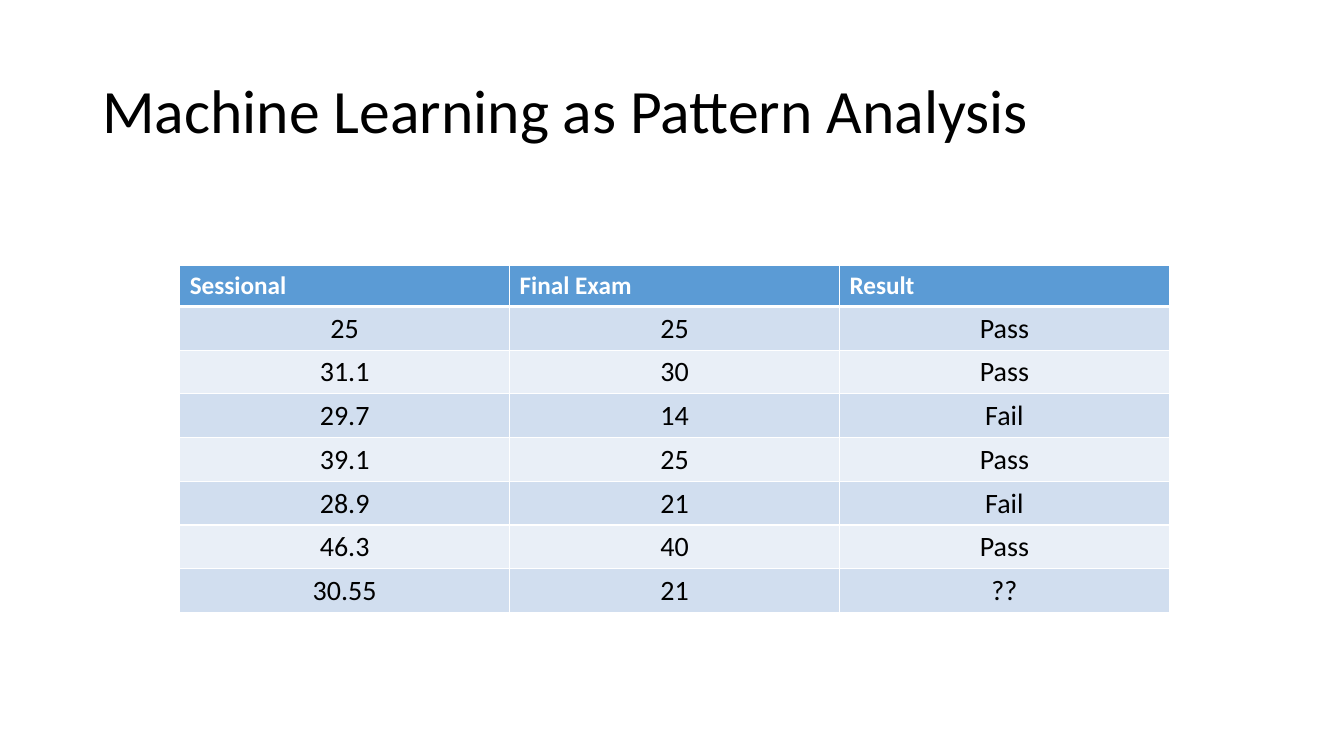
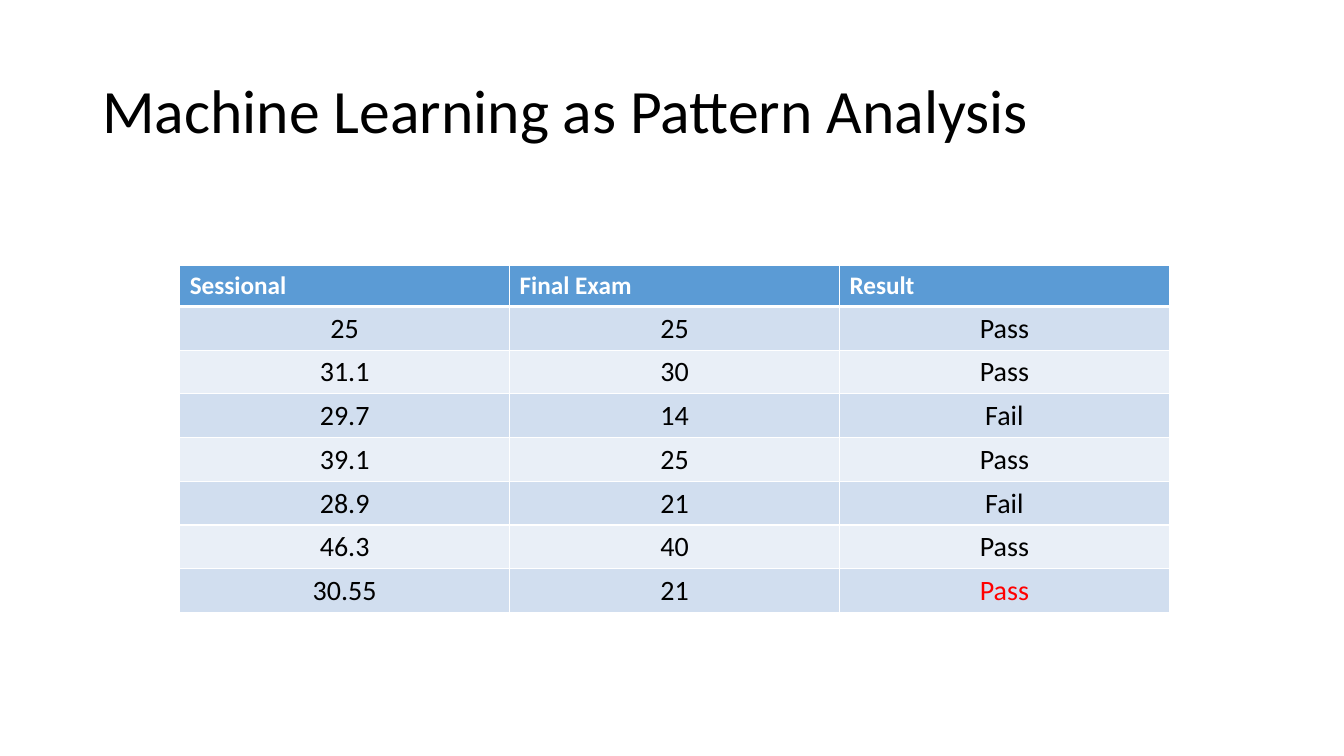
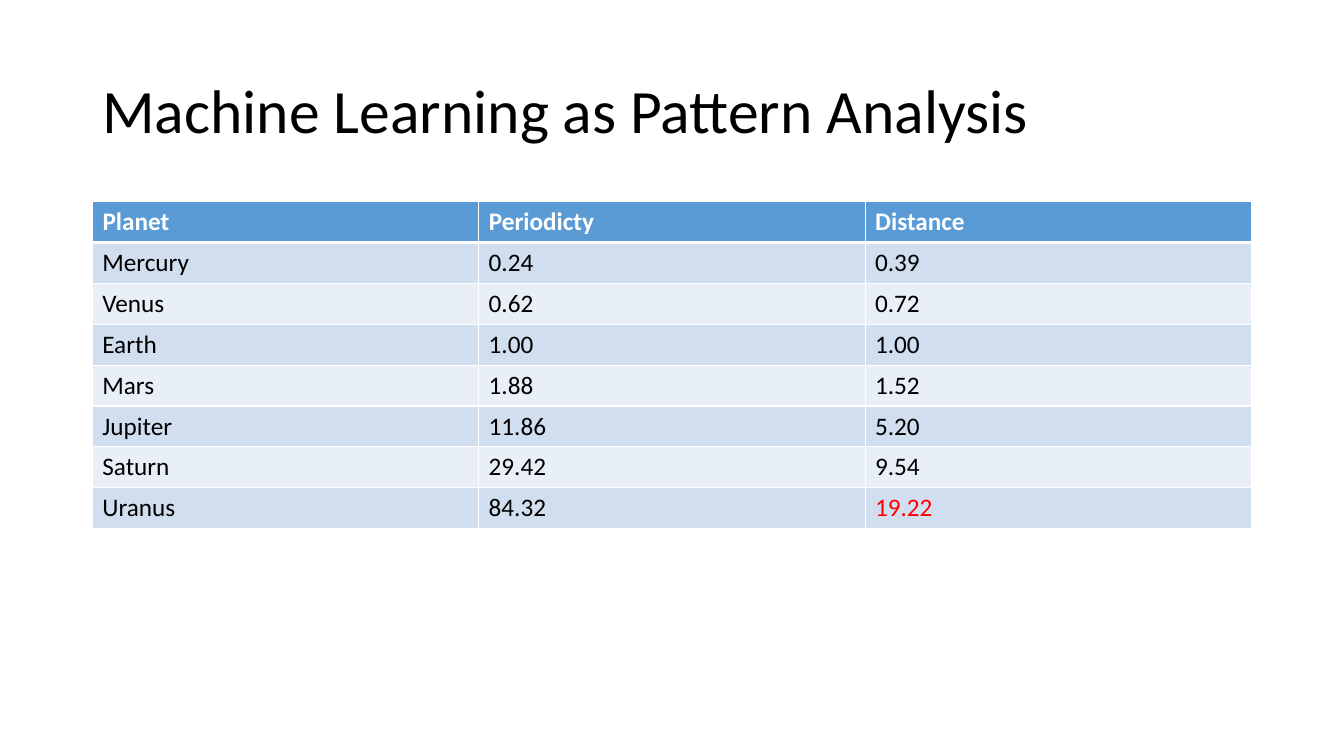
from lxml import etree
from pptx import Presentation
from pptx.dml.color import RGBColor
from pptx.enum import text
from pptx.oxml import ns
from pptx.util import Cm, Pt

BLACK = RGBColor(0x00, 0x00, 0x00)
WHITE = RGBColor(0xFF, 0xFF, 0xFF)
RED = RGBColor(0xFF, 0x00, 0x00)
HEADER_BLUE = RGBColor(0x5B, 0x9B, 0xD5)
BANDS = (RGBColor(0xD1, 0xDE, 0xEF), RGBColor(0xE9, 0xEF, 0xF7))
THIN, THICK = Pt(0.96), Pt(3)
ROW_HEIGHT = Cm(1.03)

TITLE = "Machine Learning as Pattern Analysis"
EXAM_HEADER = ("Sessional", "Final Exam", "Result")
EXAMS = [
    ("25", "25", "Pass"),
    ("31.1", "30", "Pass"),
    ("29.7", "14", "Fail"),
    ("39.1", "25", "Pass"),
    ("28.9", "21", "Fail"),
    ("46.3", "40", "Pass"),
]
PLANETS = [
    ("Planet", "Periodicty", "Distance"),
    ("Mercury", "0.24", "0.39"),
    ("Venus", "0.62", "0.72"),
    ("Earth", "1.00", "1.00"),
    ("Mars", "1.88", "1.52"),
    ("Jupiter", "11.86", "5.20"),
    ("Saturn", "29.42", "9.54"),
    ("Uranus", "84.32", "19.22"),
]

EXAM_LAYOUT = {"left": Cm(4.53), "top": Cm(6.69), "width": Cm(24.94),
               "size": Pt(20), "align": text.PP_ALIGN.CENTER, "side_margin": Cm(0.03)}
PLANET_LAYOUT = {"left": Cm(2.33), "top": Cm(5.08), "width": Cm(29.21),
                 "size": Pt(18), "align": text.PP_ALIGN.LEFT, "side_margin": Cm(0.25)}

# Rows, layout and the colour of the predicted value in the last cell
SLIDES = [
    ([EXAM_HEADER, *EXAMS, ("30.55", "21", "??")], EXAM_LAYOUT, BLACK),
    ([EXAM_HEADER, *EXAMS, ("30.55", "21", "Pass")], EXAM_LAYOUT, RED),
    (PLANETS, PLANET_LAYOUT, RED),
]


def set_font(font, size, color, bold=False):
    for name, value in {"name": "Calibri", "size": size, "bold": bold}.items():
        setattr(font, name, value)
    font.color.rgb = color


def add_title(slide):
    frame = slide.shapes.add_textbox(Cm(2.33), Cm(1.01), Cm(29.21), Cm(3.68)).text_frame
    frame.word_wrap = True
    frame.vertical_anchor = text.MSO_ANCHOR.MIDDLE
    heading = frame.paragraphs[0]
    heading.text = TITLE
    heading.line_spacing = 0.9
    set_font(heading.font, Pt(44), BLACK)


def set_borders(cell, row):
    """Draw white cell borders, with a thick rule between header and body."""
    widths = {"L": THIN, "R": THIN,
              "T": THICK if row == 1 else THIN,
              "B": THICK if row == 0 else THIN}
    properties = cell._tc.get_or_add_tcPr()
    for side, width in widths.items():
        line = etree.SubElement(properties, ns.qn(f"a:ln{side}"), w=str(int(width)))
        fill = etree.SubElement(line, ns.qn("a:solidFill"))
        etree.SubElement(fill, ns.qn("a:srgbClr"), val=str(WHITE))


def add_data_table(slide, rows, layout, prediction_color):
    columns = len(rows[0])
    table = slide.shapes.add_table(len(rows), columns, layout["left"], layout["top"],
                                   layout["width"], ROW_HEIGHT * len(rows)).table
    table.horz_banding = False
    for r, values in enumerate(rows):
        for c, value in enumerate(values):
            cell = table.cell(r, c)
            set_borders(cell, r)
            cell.fill.solid()
            cell.fill.fore_color.rgb = BANDS[(r - 1) % 2] if r else HEADER_BLUE
            cell.text = value
            entry = cell.text_frame.paragraphs[0]
            if r == 0:
                set_font(entry.font, Pt(18), WHITE, bold=True)
                continue
            is_prediction = r == len(rows) - 1 and c == columns - 1
            set_font(entry.font, layout["size"], prediction_color if is_prediction else BLACK)
            entry.alignment = layout["align"]
            cell.margin_left = cell.margin_right = layout["side_margin"]


def main():
    deck = Presentation()
    deck.slide_width, deck.slide_height = Cm(33.87), Cm(19.05)
    for rows, layout, prediction_color in SLIDES:
        slide = deck.slides.add_slide(deck.slide_layouts[6])
        add_title(slide)
        add_data_table(slide, rows, layout, prediction_color)
    deck.save("out.pptx")


if __name__ == "__main__":
    main()
